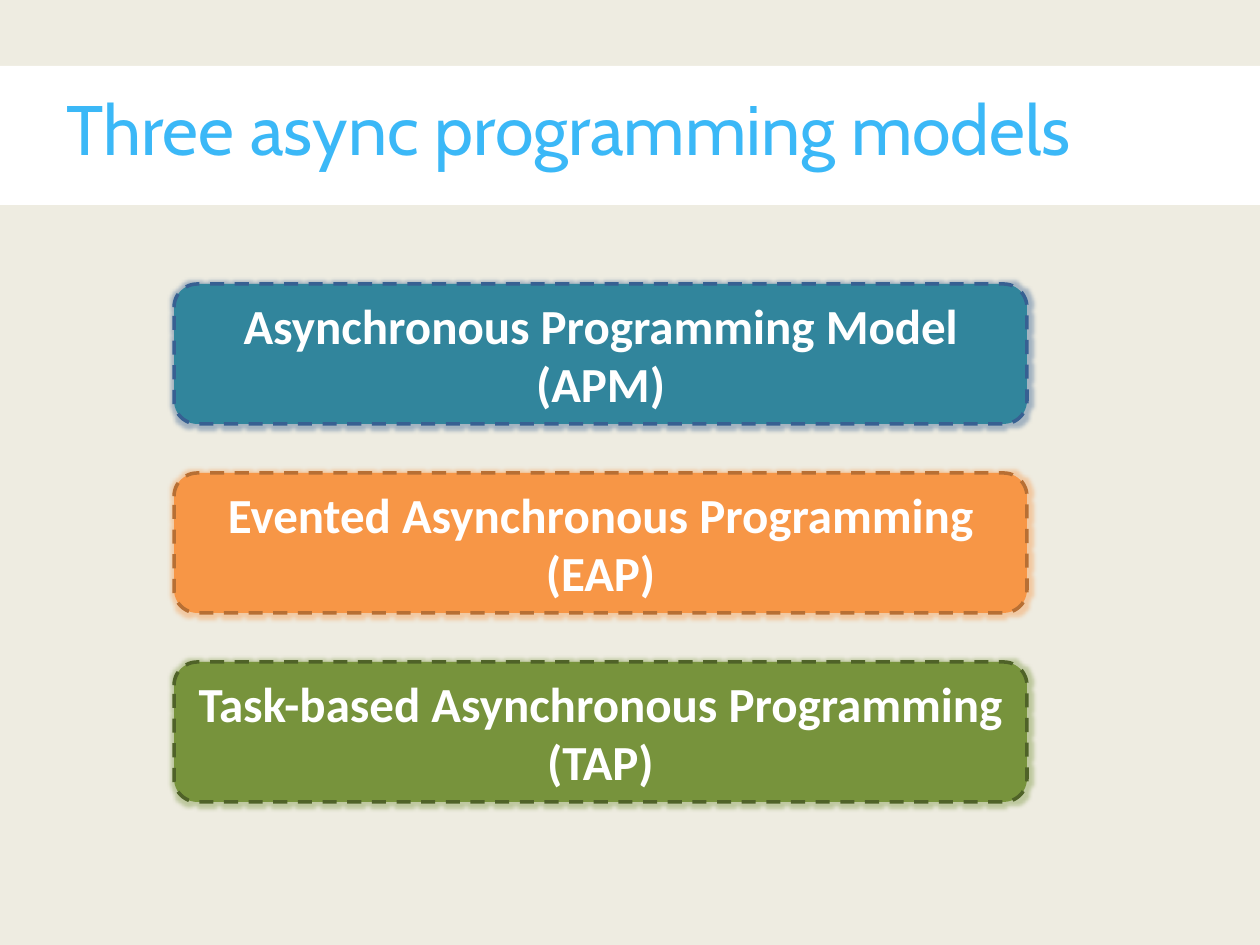
import pptx
import pptx.util
import pptx.dml.color
import pptx.enum.dml
import pptx.enum.shapes
import pptx.enum.text
import pptx.oxml
import pptx.oxml.ns

RGBColor = pptx.dml.color.RGBColor
BEIGE = RGBColor(0xEE, 0xEC, 0xE1)
WHITE = RGBColor(0xFF, 0xFF, 0xFF)
SKY = RGBColor(0x3B, 0xB8, 0xF7)
TEAL = RGBColor(0x31, 0x85, 0x9C)
NAVY = RGBColor(0x37, 0x60, 0x92)
ORANGE = RGBColor(0xF7, 0x96, 0x46)
BROWN = RGBColor(0xB7, 0x6F, 0x34)
GREEN = RGBColor(0x77, 0x93, 0x3C)
DARK_GREEN = RGBColor(0x4F, 0x62, 0x28)


def px(value):
    return pptx.util.Emu(round(value * 914400 / 126))


def add_glow(shape, color):
    shape.shadow.inherit = False
    effects = shape.element.spPr.find(pptx.oxml.ns.qn("a:effectLst"))
    effects.append(pptx.oxml.parse_xml(
        f'<a:glow {pptx.oxml.ns.nsdecls("a")} rad="63500"><a:srgbClr val="{color}">'
        '<a:alpha val="40000"/></a:srgbClr></a:glow>'))


presentation = pptx.Presentation()
presentation.slide_width = px(1260)
presentation.slide_height = px(945)
slide = presentation.slides.add_slide(presentation.slide_layouts[5])
slide.background.fill.solid()
slide.background.fill.fore_color.rgb = BEIGE

title = slide.shapes.title
title.left, title.top, title.width, title.height = px(54), px(106), px(1091), px(71)
title.text_frame.text = "Three async programming models"
title.text_frame.word_wrap = True
title.text_frame.auto_size = pptx.enum.text.MSO_AUTO_SIZE.NONE
title.text_frame.vertical_anchor = pptx.enum.text.MSO_ANCHOR.TOP
paragraph = title.text_frame.paragraphs[0]
paragraph.alignment = pptx.enum.text.PP_ALIGN.LEFT
paragraph.line_spacing = 0.65
paragraph.font.name = "Cabin"
paragraph.font.size = pptx.util.Pt(40)
paragraph.font.color.rgb = SKY

band = slide.shapes.add_shape(
    pptx.enum.shapes.MSO_SHAPE.RECTANGLE, px(0), px(66), px(1260), px(139))
band.shadow.inherit = False
band.fill.solid()
band.fill.fore_color.rgb = WHITE
band.line.fill.background()
title.element.addprevious(band.element)

models = [
    ("Asynchronous Programming Model (APM)", TEAL, NAVY, NAVY),
    ("Evented Asynchronous Programming (EAP)", ORANGE, BROWN, ORANGE),
    ("Task-based Asynchronous Programming (TAP)", GREEN, DARK_GREEN, GREEN),
]
for index, (label, fill_color, line_color, glow_color) in enumerate(models):
    box = slide.shapes.add_shape(
        pptx.enum.shapes.MSO_SHAPE.ROUNDED_RECTANGLE,
        px(174), px(284 + 189 * index), px(853), px(140))
    box.fill.solid()
    box.fill.fore_color.rgb = fill_color
    box.line.color.rgb = line_color
    box.line.width = pptx.util.Pt(2)
    box.line.dash_style = pptx.enum.dml.MSO_LINE.DASH
    add_glow(box, glow_color)
    box.text_frame.text = label
    box.text_frame.word_wrap = True
    box.text_frame.vertical_anchor = pptx.enum.text.MSO_ANCHOR.MIDDLE
    paragraph = box.text_frame.paragraphs[0]
    paragraph.alignment = pptx.enum.text.PP_ALIGN.CENTER
    paragraph.font.name = "Calibri"
    paragraph.font.size = pptx.util.Pt(28)
    paragraph.font.bold = True
    paragraph.font.color.rgb = WHITE

presentation.save("out.pptx")
